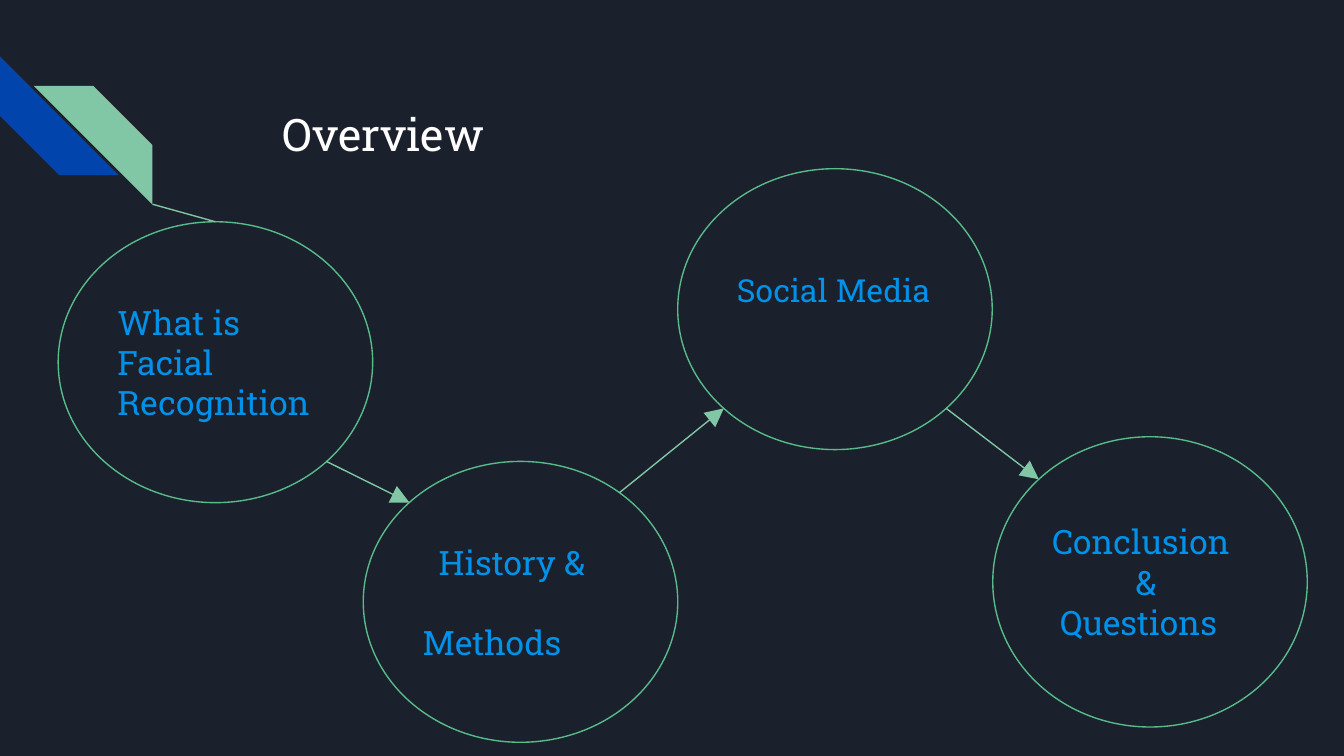
import math

import pptx
import pptx.dml.color
import pptx.enum.shapes
import pptx.enum.text
import pptx.oxml.ns
import pptx.util
from lxml import etree

RGBColor = pptx.dml.color.RGBColor
Shape = pptx.enum.shapes.MSO_SHAPE
Anchor = pptx.enum.text.MSO_ANCHOR
Align = pptx.enum.text.PP_ALIGN

NIGHT = RGBColor(0x1B, 0x21, 0x2C)
BLUE = RGBColor(0x01, 0x45, 0xAC)
MINT = RGBColor(0x82, 0xC7, 0xA5)
GREEN = RGBColor(0x57, 0xBB, 0x8A)
SKY = RGBColor(0x00, 0x91, 0xEA)
WHITE = RGBColor(0xFF, 0xFF, 0xFF)

FONT = "Roboto Slab"
COLUMNS, ROWS = 100, 56.25
CELL = pptx.util.Inches(10) / COLUMNS
TOPICS = [
    {"box": (4.33, 16.5, 23.4, 20.9), "lines": [("What is Facial Recognition", 0, 0)]},
    {"box": (27.03, 34.33, 23.4, 20.9), "lines": [("History &", 1.2, 0), ("Methods", 0, 21.4)]},
    {"box": (50.43, 12.55, 23.4, 20.9), "lines": [("Social Media", 0, 0)],
     "size": 17, "lift": 2.9},
    {"box": (73.87, 32.5, 23.4, 21.6),
     "lines": [("Conclusion", 0, 0), ("&", 6.2, 0), ("Questions", 0.6, 0)]},
]


def grid(*cells):
    """Turn counts of grid cells into lengths."""
    return [pptx.util.Emu(round(cell * CELL)) for cell in cells]


def apply(target, values):
    """Set every attribute named in a dict."""
    for name, value in values.items():
        setattr(target, name, value)


def write(shape, lines, size, color, anchor, lift=0):
    """Fill a shape with lines of text, indent and space before."""
    frame = shape.text_frame
    side, bottom = grid(1, 1 + lift)
    apply(frame, {"word_wrap": True, "vertical_anchor": anchor, "margin_left": side,
                  "margin_right": side, "margin_top": side, "margin_bottom": bottom})
    for index, (text, indent, before) in enumerate(lines):
        para = frame.add_paragraph() if index else frame.paragraphs[0]
        apply(para, {"alignment": Align.LEFT, "space_before": pptx.util.Pt(before)})
        para._p.get_or_add_pPr().set("marL", str(grid(indent)[0]))
        span = para.add_run()
        span.text = text
        apply(span.font, {"name": FONT, "size": pptx.util.Pt(size)})
        span.font.color.rgb = color


def add_stripes(page, box):
    """Draw the two slanted corner stripes inside a box."""
    left, top, width, height = box
    side = 8.84
    corners = [(left, top, 270, BLUE), (left + width - side, top + height - side, 90, MINT)]
    for column, row, rotation, color in corners:
        stripe = page.shapes.add_shape(Shape.DIAGONAL_STRIPE, *grid(column, row, side, side))
        stripe.adjustments[0] = 0.5
        stripe.rotation = rotation
        stripe.shadow.inherit = False
        stripe.fill.solid()
        stripe.fill.fore_color.rgb = color
        stripe.line.fill.background()


def add_title(page, box):
    """Place the slide title in a box."""
    title = page.shapes.add_textbox(*grid(*box))
    write(title, [("Overview", 20, 0)], 24, WHITE, Anchor.TOP)


def add_topic(page, box, lines, size=18, lift=0):
    """Draw an outlined ellipse that holds one topic."""
    ellipse = page.shapes.add_shape(Shape.OVAL, *grid(*box))
    ellipse.shadow.inherit = False
    ellipse.fill.background()
    ellipse.line.color.rgb = GREEN
    ellipse.line.width = pptx.util.Pt(0.75)
    write(ellipse, lines, size, SKY, Anchor.MIDDLE, lift)


def rim(box, degrees):
    """Return the point of an ellipse rim at a clockwise angle."""
    left, top, width, height = box
    angle = math.radians(degrees)
    return (left + width / 2 * (1 + math.cos(angle)),
            top + height / 2 * (1 + math.sin(angle)))


def add_link(page, start, end, arrow=True):
    """Join two grid points with a line or an arrow."""
    link = page.shapes.add_connector(
        pptx.enum.shapes.MSO_CONNECTOR.STRAIGHT, *grid(*start, *end))
    link.line.color.rgb = MINT
    link.line.width = pptx.util.Pt(0.75)
    if arrow:
        outline = link.line._get_or_add_ln()
        etree.SubElement(outline, pptx.oxml.ns.qn("a:tailEnd"),
                         type="triangle", w="lg", len="lg")
    etree.SubElement(link._element.spPr, pptx.oxml.ns.qn("a:effectLst"))


def add_flow(page, topics, start):
    """Draw the topics and the links that lead through them."""
    for topic in topics:
        add_topic(page, **topic)
    boxes = [topic["box"] for topic in topics]
    add_link(page, start, rim(boxes[0], 270), arrow=False)
    for source, target in zip(boxes, boxes[1:]):
        downward = target[1] > source[1]
        add_link(page, rim(source, 45 if downward else -51),
                 rim(target, 225 if downward else 135))


def main():
    """Build and save the overview slide."""
    deck = pptx.Presentation()
    deck.slide_width, deck.slide_height = grid(COLUMNS, ROWS)
    page = deck.slides.add_slide(deck.slide_layouts[6])
    page.background.fill.solid()
    page.background.fill.fore_color.rgb = NIGHT
    add_stripes(page, (0, 4.2, 11.34, 11.02))
    add_title(page, (0.04, 6.94, 52.4, 8.3))
    add_flow(page, TOPICS, (11.35, 15.2))
    deck.save("out.pptx")


if __name__ == "__main__":
    main()
